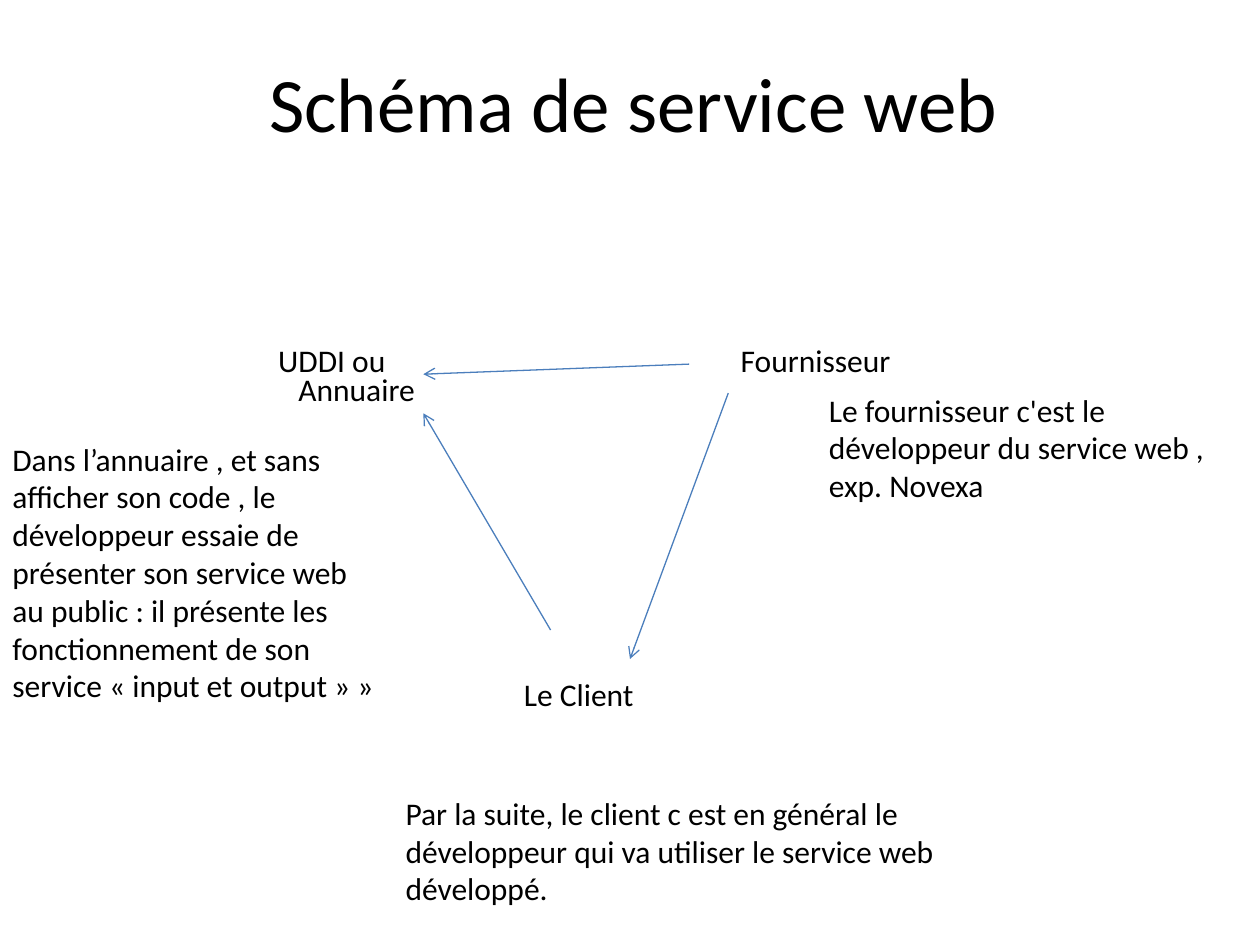
from dataclasses import dataclass

from lxml.etree import SubElement
from pptx import Presentation
from pptx.dml.color import RGBColor
from pptx.enum.shapes import MSO_CONNECTOR as Connector
from pptx.enum.text import MSO_ANCHOR as Anchor, MSO_AUTO_SIZE as AutoSize, PP_ALIGN as Align
from pptx.oxml.ns import qn
from pptx.slide import Slide
from pptx.util import Inches, Pt

COLORS = {"text": "000000", "arrow": "4B7EBC", "background": "FFFFFF"}


def write_text(frame, text, *, font, size, color, align=Align.LEFT):
    paragraph = frame.paragraphs[0]
    paragraph.alignment = align
    run = paragraph.add_run()
    run.text = text
    run.font.name = font
    run.font.size = Pt(size)
    run.font.color.rgb = RGBColor.from_string(color)


@dataclass
class Diagram:
    slide: Slide
    font: str = "Calibri"
    title_size: int = 44
    text_size: int = 18
    line_width: float = 0.75

    def background(self):
        fill = self.slide.background.fill
        fill.solid()
        fill.fore_color.rgb = RGBColor.from_string(COLORS["background"])

    def box(self, place, text, size, align=Align.LEFT):
        frame = self.slide.shapes.add_textbox(*map(Inches, place)).text_frame
        frame.word_wrap = True
        write_text(frame, text, font=self.font, size=size,
                   color=COLORS["text"], align=align)
        return frame

    def title(self, place, text):
        frame = self.box(place, text, self.title_size, Align.CENTER)
        frame.vertical_anchor = Anchor.MIDDLE

    def label(self, place, text):
        frame = self.box(place, text, self.text_size)
        frame.auto_size = AutoSize.SHAPE_TO_FIT_TEXT

    def arrow(self, start, end):
        link = self.slide.shapes.add_connector(
            Connector.STRAIGHT, *map(Inches, (*start, *end)))
        link.line.color.rgb = RGBColor.from_string(COLORS["arrow"])
        link.line.width = Pt(self.line_width)
        properties = link.element.spPr
        SubElement(properties.find(qn("a:ln")), qn("a:tailEnd"), type="arrow")
        SubElement(properties, qn("a:effectLst"))


def main():
    deck = Presentation()
    deck.slide_width, deck.slide_height = Inches(10), Inches(7.5)
    diagram = Diagram(deck.slides.add_slide(deck.slide_layouts[6]))
    diagram.background()
    diagram.title((0.78, 0, 8.5, 1.61), "Schéma de service web")

    actors = [
        ((4.06, 5.31, 2.5, 0.4), "Le Client"),
        ((5.78, 2.66, 2.89, 0.4), "Fournisseur"),
        ((2.27, 2.89, 2.81, 0.4), "Annuaire"),
    ]
    for place, text in actors:
        diagram.label(place, text)

    exchanges = [
        ((5.47, 2.89), (3.36, 2.97)),
        ((5.78, 3.12), (5, 5.23)),
        ((4.37, 5), (3.36, 3.28)),
    ]
    for start, end in exchanges:
        diagram.arrow(start, end)

    explanations = [
        ((6.48, 3.05, 3.28, 1.01),
         "Le fournisseur c'est le développeur du service web , exp. Novexa"),
        ((0, 3.44, 3.12, 2.22),
         "Dans l’annuaire , et sans afficher son code , le développeur essaie de "
         "présenter son service web au public : il présente les fonctionnement "
         "de son service « input et output » »"),
        ((2.11, 2.66, 1.09, 0.4), "UDDI ou"),
        ((3.12, 6.25, 5.31, 1.01),
         "Par la suite, le client c est en général le développeur qui va "
         "utiliser le service web développé."),
    ]
    for place, text in explanations:
        diagram.label(place, text)

    deck.save("out.pptx")


if __name__ == "__main__":
    main()
